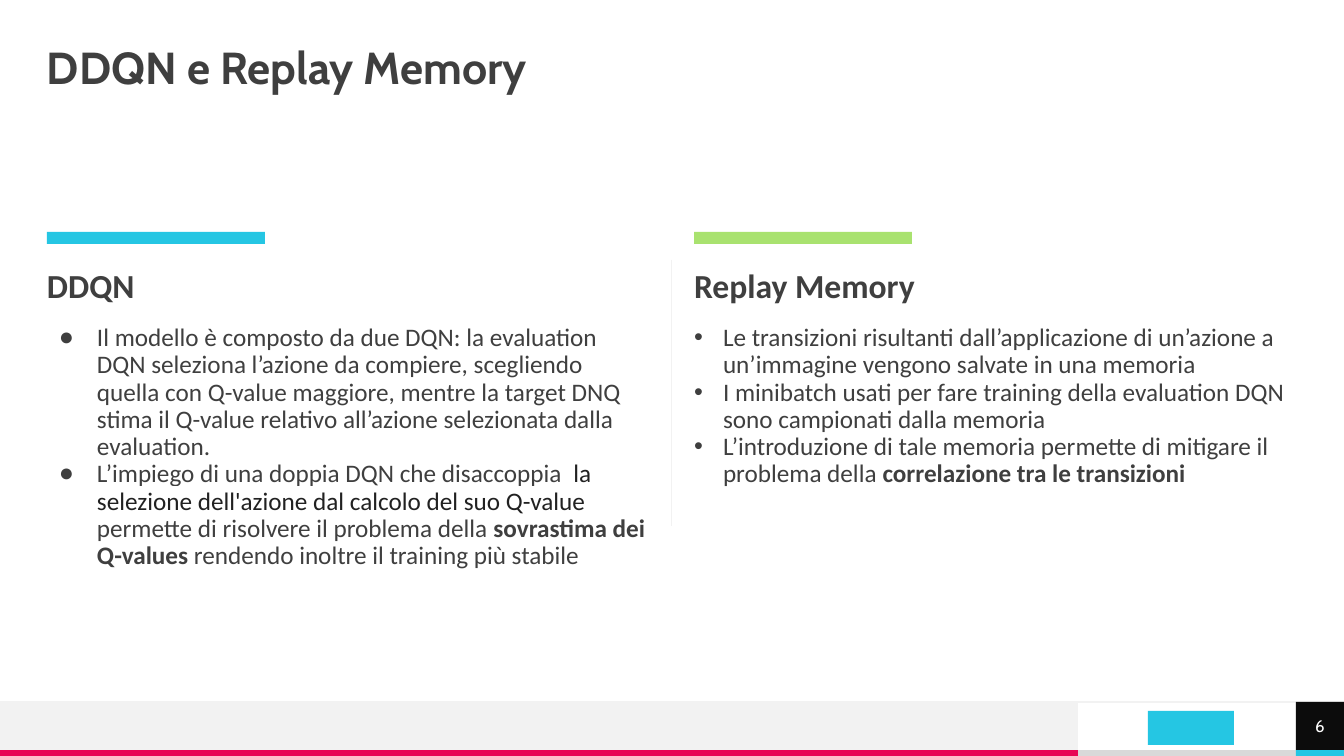
import dataclasses
import pptx
import pptx.util
import pptx.dml.color
import pptx.enum.shapes
import pptx.enum.text
import pptx.oxml

EMU = 914400 / 100.8
WIDE, HIGH = 1344, 756
KIND = pptx.enum.shapes.MSO_SHAPE.RECTANGLE
ANCHOR = pptx.enum.text.MSO_ANCHOR
ALIGN = pptx.enum.text.PP_ALIGN
NS = 'xmlns:a="http://schemas.openxmlformats.org/drawingml/2006/main"'


@dataclasses.dataclass(frozen=True)
class Theme:
    ink: str = "3F3F3F"
    dark: str = "212121"
    white: str = "FFFFFF"
    black: str = "0C0C0C"
    pale: str = "F2F2F2"
    gray: str = "D9D9D9"
    cyan: str = "25C6E3"
    green: str = "A9E26F"
    pink: str = "E80554"
    head: str = "Cabin"
    text: str = "Calibri"
    title: int = 32
    sub: int = 24
    body: int = 18
    note: int = 12


THEME = Theme()


def px(size):
    return round(size * EMU)


def rgb(color):
    return pptx.dml.color.RGBColor.from_string(color)


def node(xml):
    return pptx.oxml.parse_xml(xml)


def apply(target, values):
    for name, value in values.items():
        setattr(target, name, value)


def block(slide, box, color):
    shape = slide.shapes.add_shape(KIND, *map(px, box))
    shape.shadow.inherit = False
    shape.fill.solid()
    shape.fill.fore_color.rgb = rgb(color)
    shape.line.fill.background()
    return shape


def rule(slide, start, end):
    kind = pptx.enum.shapes.MSO_CONNECTOR.STRAIGHT
    line = slide.shapes.add_connector(kind, *map(px, start + end))
    line.line.color.rgb = rgb(THEME.pale)
    line.line.width = pptx.util.Pt(0.75)
    line._element.spPr.append(node(f"<a:effectLst {NS}/>"))


def frame(shape, anchor):
    area = shape.text_frame
    apply(area, {"word_wrap": True, "vertical_anchor": anchor,
                 "margin_left": 0, "margin_right": 0,
                 "margin_top": 0, "margin_bottom": 0})
    return area


def write(para, text, size, font, bold=False, color=THEME.ink, back=None):
    run = para.add_run()
    run.text = text
    apply(run.font, {"size": pptx.util.Pt(size), "name": font, "bold": bold})
    run.font.color.rgb = rgb(color)
    if back:
        mark = node(f'<a:highlight {NS}><a:srgbClr val="{back}"/></a:highlight>')
        run.font._element.find("{*}solidFill").addnext(mark)


def label(slide, box, text, size, font, anchor):
    area = frame(slide.shapes.add_textbox(*map(px, box)), anchor)
    para = area.paragraphs[0]
    para.line_spacing = 0.9
    write(para, text, size, font, True)


def bullet(para, sign, left, hang):
    props = para._p.get_or_add_pPr()
    props.set("marL", str(px(left)))
    props.set("indent", str(-px(hang)))
    for xml in (f'<a:buClr {NS}><a:srgbClr val="{THEME.ink}"/></a:buClr>',
                f'<a:buFont {NS} typeface="Arial"/>',
                f'<a:buChar {NS} char="{sign}"/>'):
        props.append(node(xml))


def column(slide, box, color, head, items, mark):
    left, top, width, height = box
    block(slide, (left, top, 218, 12), color)
    label(slide, (left, top + 37, width, 39), head, THEME.sub, THEME.text, ANCHOR.TOP)
    spot = slide.shapes.add_textbox(*map(px, (left, top + 93, width, height - 93)))
    area = frame(spot, ANCHOR.TOP)
    for index, runs in enumerate(items):
        para = area.add_paragraph() if index else area.paragraphs[0]
        para.line_spacing = 0.9
        bullet(para, *mark)
        for text, look in runs:
            write(para, text, THEME.body, THEME.text, **look)


def footer(slide, box, page):
    left, top, width, height = box
    base, side = top + height - 6, 48
    split, edge = left + 1078, left + width - side
    block(slide, (split, base, edge - split, 6), THEME.gray)
    block(slide, (left, top, split - left, base - top), THEME.pale)
    block(slide, (left, base, split - left, 6), THEME.pink)
    block(slide, (edge, base, side, 6), THEME.cyan)
    block(slide, (split + 70, top + 9, 86, 34), THEME.cyan)
    rule(slide, (left + width, top), (left, top))
    tile = block(slide, (edge, top, side, base - top), THEME.black)
    para = frame(tile, ANCHOR.MIDDLE).paragraphs[0]
    para.alignment = ALIGN.CENTER
    write(para, page, THEME.note, THEME.head, color=THEME.white)


PLAIN, BOLD = {}, {"bold": True}
MARKED = {"color": THEME.dark, "back": THEME.white}

DOUBLE = [
    [("Il modello è composto da due DQN: la evaluation DQN seleziona l’azione da "
      "compiere, scegliendo quella con Q-value maggiore, mentre la target DNQ stima "
      "il Q-value relativo all’azione selezionata dalla evaluation.", PLAIN)],
    [("L’impiego di una doppia DQN che disaccoppia ", PLAIN),
     (" la selezione dell'azione dal calcolo del suo Q-value ", MARKED),
     ("permette di risolvere il problema della ", PLAIN),
     ("sovrastima dei Q-values", BOLD),
     (" rendendo inoltre il training più stabile", PLAIN)],
]
REPLAY = [
    [("Le transizioni risultanti dall’applicazione di un’azione a un’immagine "
      "vengono salvate in una memoria", PLAIN)],
    [("I minibatch usati per fare training della evaluation DQN sono campionati "
      "dalla memoria", PLAIN)],
    [("L’introduzione di tale memoria permette di mitigare il problema della ", PLAIN),
     ("correlazione tra le transizioni", BOLD)],
]


def main():
    deck = pptx.Presentation()
    apply(deck, {"slide_width": px(WIDE), "slide_height": px(HIGH)})
    slide = deck.slides.add_slide(deck.slide_layouts[6])
    footer(slide, (0, 702, WIDE, 54), "6")
    label(slide, (47, 47, 1250, 47), "DDQN e Replay Memory",
          THEME.title, THEME.head, ANCHOR.MIDDLE)
    column(slide, (47, 232, 603, 335), THEME.cyan, "DDQN", DOUBLE, ("●", 50, 38))
    rule(slide, (672, 260), (672, 526))
    column(slide, (694, 232, 603, 335), THEME.green, "Replay Memory", REPLAY,
           ("•", 29, 29))
    deck.save("out.pptx")


if __name__ == "__main__":
    main()
